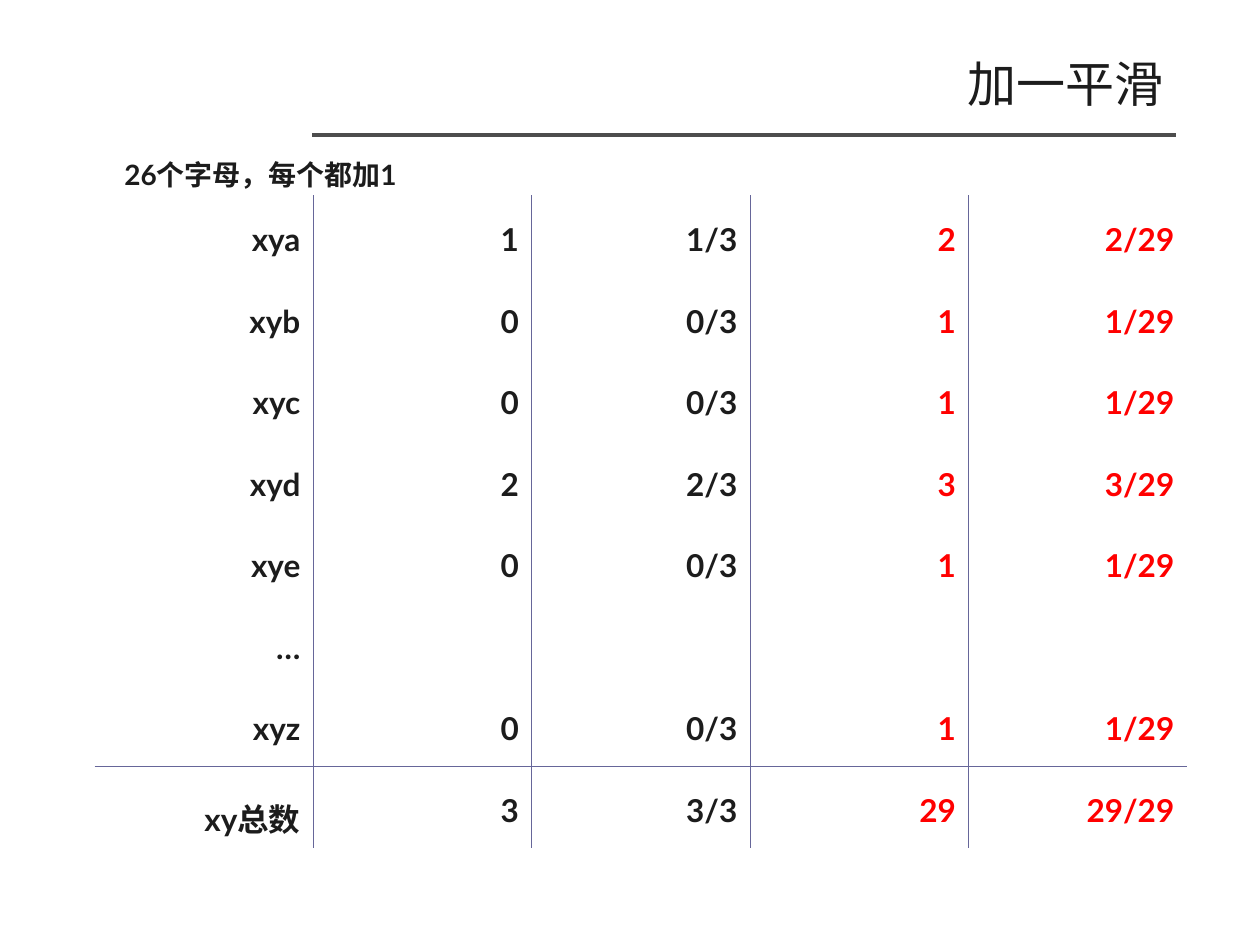
from typing import NamedTuple

from lxml import etree
from pptx import Presentation
from pptx.dml.color import RGBColor
from pptx.enum.shapes import MSO_CONNECTOR
from pptx.enum.text import MSO_ANCHOR, PP_ALIGN
from pptx.oxml.ns import qn
from pptx.util import Inches, Pt

INK = RGBColor(0x1C, 0x1C, 0x1C)
RED = RGBColor(0xFF, 0x00, 0x00)
GRID = RGBColor(0x66, 0x66, 0x99)
RULE = RGBColor(0x4D, 0x4D, 0x4D)
RIGHT, LEFT = PP_ALIGN.RIGHT, PP_ALIGN.LEFT
MIDDLE, TOP = MSO_ANCHOR.MIDDLE, MSO_ANCHOR.TOP
STRAIGHT = MSO_CONNECTOR.STRAIGHT
FONT = "Lato"
GRID_WIDTH = Pt(0.45)
FIRST_SMOOTHED_COLUMN = 3


class Trigram(NamedTuple):
    label: str
    count: str = ""
    estimate: str = ""
    smoothed_count: str = ""
    smoothed_estimate: str = ""


class Caption(NamedTuple):
    text: str
    left: float
    top: float
    width: float
    height: float
    size: int
    bold: bool
    align: PP_ALIGN
    anchor: MSO_ANCHOR


TITLE = Caption("加一平滑", 0.69, 0.35, 8.64, 0.62, 28, False, RIGHT, MIDDLE)
NOTE = Caption("26个字母，每个都加1", 0.5, 1.07, 9.5, 0.55, 16, True, LEFT, TOP)

TRIGRAMS = [
    Trigram("xya", "1", "1/3", "2", "2/29"),
    Trigram("xyb", "0", "0/3", "1", "1/29"),
    Trigram("xyc", "0", "0/3", "1", "1/29"),
    Trigram("xyd", "2", "2/3", "3", "3/29"),
    Trigram("xye", "0", "0/3", "1", "1/29"),
    Trigram("…"),
    Trigram("xyz", "0", "0/3", "1", "1/29"),
    Trigram("xy总数", "3", "3/3", "29", "29/29"),
]


def style_paragraph(paragraph, size: int, bold: bool, color: RGBColor, align: PP_ALIGN) -> None:
    """Align a paragraph and format its runs."""
    paragraph.alignment = align
    for run in paragraph.runs:
        run.font.name = FONT
        run.font.size = Pt(size)
        run.font.bold = bold
        run.font.color.rgb = color


def space_paragraph(paragraph, before: float) -> None:
    """Give a paragraph one-and-a-half line spacing and space before."""
    paragraph.line_spacing = 1.5
    paragraph.space_before = Pt(before)


def add_caption(slide, caption: Caption):
    """Add a text box and return its paragraph."""
    box = slide.shapes.add_textbox(
        Inches(caption.left), Inches(caption.top), Inches(caption.width), Inches(caption.height)
    )
    frame = box.text_frame
    frame.word_wrap = True
    frame.vertical_anchor = caption.anchor
    frame.text = caption.text
    paragraph = frame.paragraphs[0]
    style_paragraph(paragraph, caption.size, caption.bold, INK, caption.align)
    return paragraph


def add_title_rule(slide) -> None:
    """Draw the hairline under the title."""
    rule = slide.shapes.add_connector(
        STRAIGHT, Inches(2.48), Inches(1.07), Inches(9.33), Inches(1.07)
    )
    rule.line.color.rgb = RULE
    rule.line.width = Pt(0)
    etree.SubElement(rule.line._get_or_add_ln().getparent(), qn("a:effectLst"))


def set_borders(cell, visible: dict[str, bool]) -> None:
    """Draw the visible cell edges and clear the others."""
    properties = cell._tc.get_or_add_tcPr()
    for position, (edge, shown) in enumerate(visible.items()):
        line = etree.Element(qn(f"a:ln{edge}"), w=str(GRID_WIDTH))
        if shown:
            fill = etree.SubElement(line, qn("a:solidFill"))
            etree.SubElement(fill, qn("a:srgbClr"), val=str(GRID))
        else:
            etree.SubElement(line, qn("a:noFill"))
        properties.insert(position, line)


def add_trigram_table(slide, trigrams: list[Trigram]) -> None:
    """Add the table of counts and estimates with inner rules only."""
    row_total, column_total = len(trigrams), len(Trigram._fields)
    table = slide.shapes.add_table(
        row_total, column_total, Inches(0.75), Inches(1.55), Inches(8.67), Inches(5.18)
    ).table
    table.first_row = False
    table.horz_banding = False
    for row, trigram in enumerate(trigrams):
        for column, value in enumerate(trigram):
            cell = table.cell(row, column)
            cell.fill.background()
            set_borders(cell, {
                "L": column > 0,
                "R": column < column_total - 1,
                "T": row == row_total - 1,
                "B": row == row_total - 2,
            })
            if value:
                cell.text_frame.text = value
                paragraph = cell.text_frame.paragraphs[0]
                color = RED if column >= FIRST_SMOOTHED_COLUMN else INK
                style_paragraph(paragraph, 18, True, color, RIGHT)
                space_paragraph(paragraph, 4.5)


def main() -> None:
    """Build the add-one smoothing slide."""
    presentation = Presentation()
    presentation.slide_width = Inches(10)
    presentation.slide_height = Inches(7.5)
    slide = presentation.slides.add_slide(presentation.slide_layouts[6])

    add_title_rule(slide)
    add_caption(slide, TITLE)
    add_trigram_table(slide, TRIGRAMS)
    note = add_caption(slide, NOTE)
    space_paragraph(note, 4)
    indent = note._p.get_or_add_pPr()
    indent.set("marL", str(Inches(0.38)))
    indent.set("indent", str(Inches(0.01)))

    presentation.save("out.pptx")


if __name__ == "__main__":
    main()
